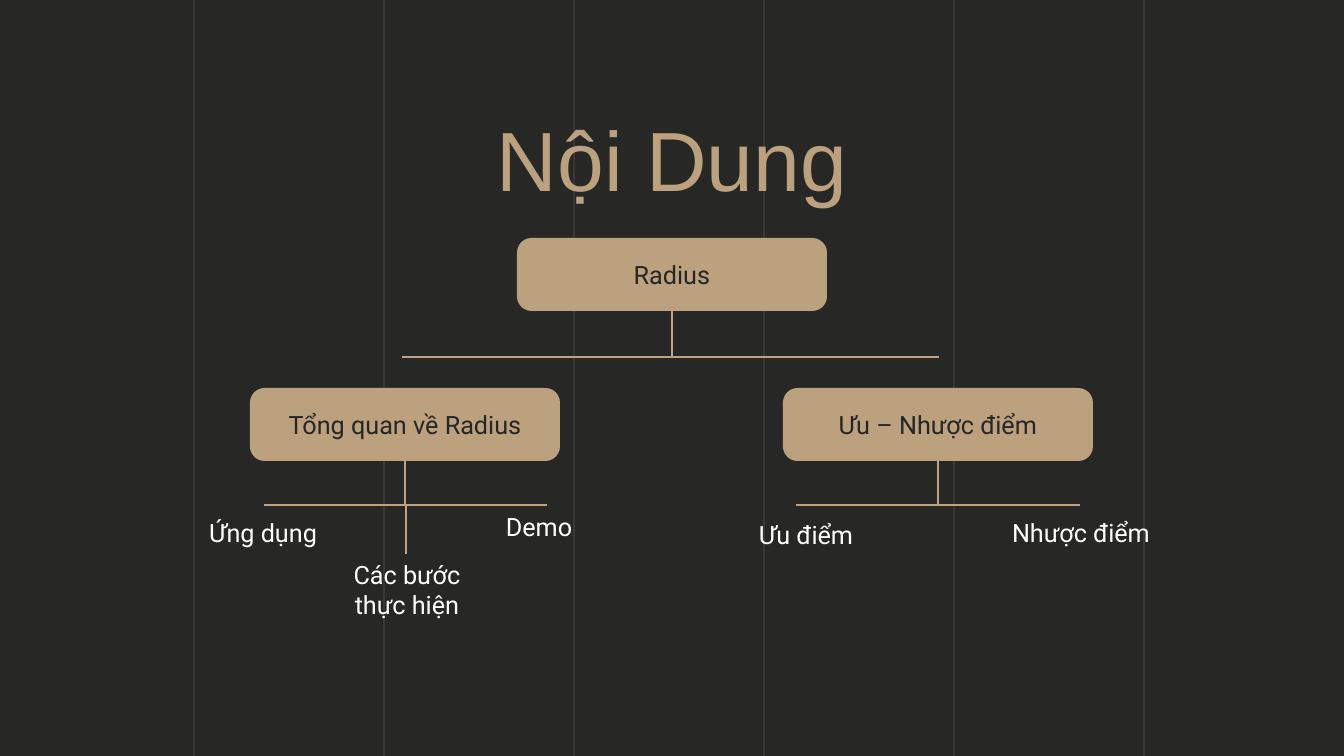
from dataclasses import dataclass

from lxml import etree
from pptx import Presentation
from pptx import util as u
from pptx.dml.color import RGBColor
from pptx.enum import shapes, text
from pptx.oxml import ns

WIDTH, HEIGHT = 1344, 756
SCALE = u.Inches(1) / 100.8


@dataclass(frozen=True)
class Theme:
    back: str = "272726"
    gold: str = "BCA17F"
    line: str = "BEA281"
    guide: str = "BCAB96"
    dark: str = "262725"
    light: str = "FEFFFE"
    head: str = "Arial"
    body: str = "Roboto"
    large: int = 60
    small: int = 18


THEME = Theme()


def px(num):
    return round(num * SCALE)


def rgb(code):
    return RGBColor.from_string(code)


def write(shape, words, color, size=THEME.small, font=THEME.body):
    """Put centred, styled words into a shape."""
    frame = shape.text_frame
    frame.word_wrap = True
    frame.margin_left = frame.margin_right = px(5)
    frame.margin_top = frame.margin_bottom = px(5)
    frame.text = words
    par = frame.paragraphs[0]
    par.alignment = text.PP_ALIGN.CENTER
    style = par.runs[0].font
    style.name, style.size = font, u.Pt(size)
    style.color.rgb = rgb(color)


def label(slide, words, left, top, width, height, color=THEME.light, **style):
    area = map(px, (left, top, width, height))
    write(slide.shapes.add_textbox(*area), words, color, **style)


def box(slide, words, left, top):
    area = map(px, (left, top, 310, 73))
    node = slide.shapes.add_shape(shapes.MSO_SHAPE.ROUNDED_RECTANGLE, *area)
    node.adjustments[0] = 0.2
    node.shadow.inherit = False
    node.fill.solid()
    node.fill.fore_color.rgb = rgb(THEME.gold)
    node.line.fill.background()
    write(node, words, THEME.dark)
    node.text_frame.vertical_anchor = text.MSO_ANCHOR.MIDDLE
    return node


def rule(slide, x1, y1, x2, y2, color=THEME.line, alpha=None):
    """Draw a thin line; alpha is its opacity in percent."""
    ends = map(px, (x1, y1, x2, y2))
    line = slide.shapes.add_connector(shapes.MSO_CONNECTOR.STRAIGHT, *ends)
    line.line.width = u.Pt(1)
    line.line.color.rgb = rgb(color)
    props = line._element.spPr
    etree.SubElement(props, ns.qn("a:effectLst"))
    if alpha:
        tone = props.find(".//" + ns.qn("a:srgbClr"))
        etree.SubElement(tone, ns.qn("a:alpha"), val=str(alpha * 1000))
    return line


def branch(slide, words, left, top, bar, start, end):
    """Draw a box, its stem and the bar that its children hang from."""
    node = box(slide, words, left, top)
    mid = left + 155
    stem = rule(slide, mid, top + 73, mid, bar)
    stem.begin_connect(node, 2)
    rule(slide, start, bar, end, bar)


def main():
    deck = Presentation()
    deck.slide_width, deck.slide_height = px(WIDTH), px(HEIGHT)
    slide = deck.slides.add_slide(deck.slide_layouts[6])
    fill = slide.background.fill
    fill.solid()
    fill.fore_color.rgb = rgb(THEME.back)

    for col in range(6):
        left = 194 + 190 * col
        rule(slide, left, HEIGHT, left, 0, THEME.guide, 20)

    label(slide, "Nội Dung", 288, 103, 768, 112, THEME.gold,
          size=THEME.large, font=THEME.head)

    branch(slide, "Radius", 517, 238, 357, 402, 939)
    branch(slide, "Tổng quan về Radius", 250, 388, 505, 264, 547)
    branch(slide, "Ưu – Nhược điểm", 783, 388, 505, 796, 1080)
    rule(slide, 406, 505, 406, 554)

    for words, left, top, width, height in (
        ("Ứng dụng", 179, 512, 168, 40),
        ("Các bước thực hiện", 323, 554, 168, 72),
        ("Demo", 455, 506, 168, 40),
        ("Ưu điểm", 714, 514, 184, 40),
        ("Nhược điểm", 997, 512, 168, 40),
    ):
        label(slide, words, left, top, width, height)

    deck.save("out.pptx")


if __name__ == "__main__":
    main()
